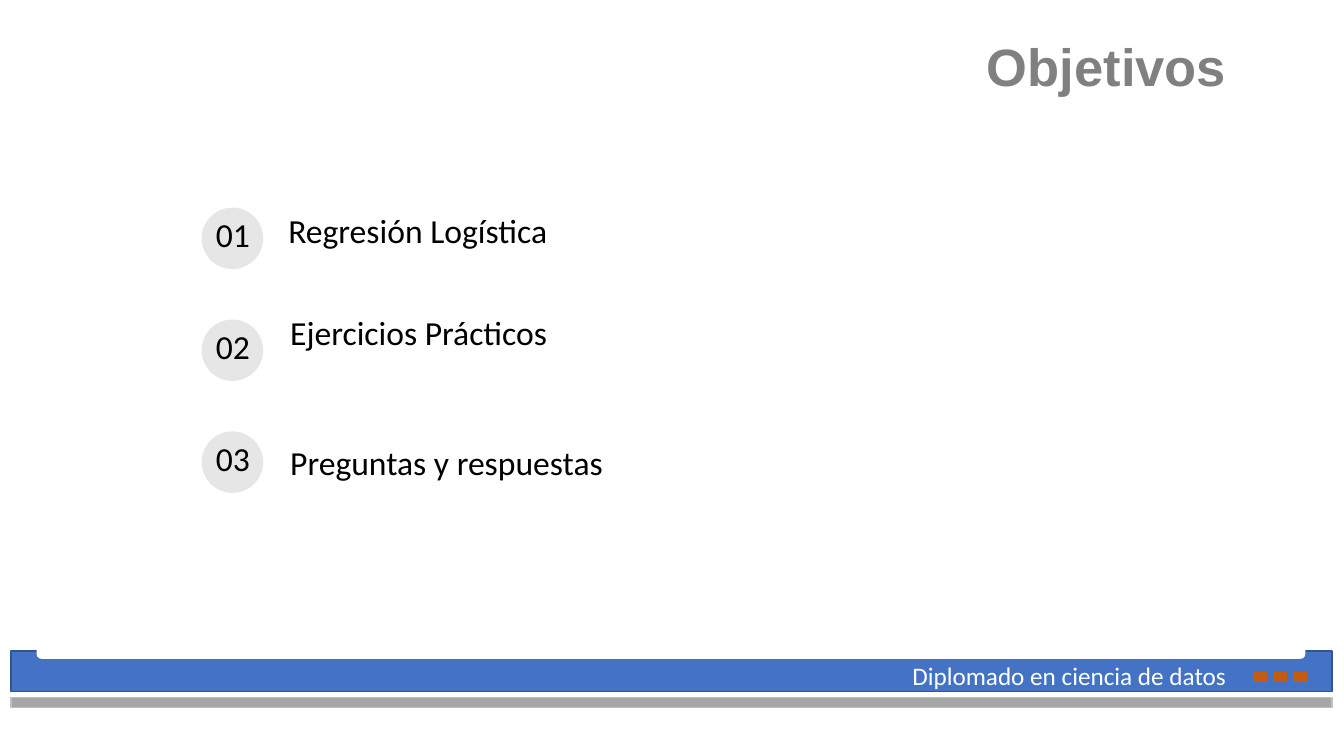
from dataclasses import dataclass

from pptx import Presentation
from pptx.dml.color import RGBColor
from pptx.enum.shapes import MSO_SHAPE
from pptx.enum.text import MSO_ANCHOR, MSO_AUTO_SIZE, PP_ALIGN
from pptx.util import Inches, Pt


@dataclass(frozen=True)
class Theme:
    """Colours, fonts and type sizes of the slide."""
    white: str = "FFFFFF"
    black: str = "000000"
    title_grey: str = "808080"
    circle_grey: str = "E7E6E6"
    blue: str = "4472C4"
    blue_line: str = "325491"
    strip: str = "A6A6A6"
    strip_line: str = "BFBFBF"
    orange: str = "C55A11"
    title_font: str = "Arial"
    body_font: str = "Calibri"
    title_size: float = 37.5
    body_size: float = 24
    footer_size: float = 18


THEME = Theme()


def place(shape, left, top, width, height):
    """Move a shape to a box given in inches."""
    shape.left, shape.top = Inches(left), Inches(top)
    shape.width, shape.height = Inches(width), Inches(height)


def add_block(shapes, kind, box, fill, line=None):
    """Add a filled shape, outlined when a line colour is given."""
    shape = shapes.add_shape(kind, *map(Inches, box))
    shape.shadow.inherit = False
    shape.fill.solid()
    shape.fill.fore_color.rgb = RGBColor.from_string(fill)
    if line:
        shape.line.color.rgb = RGBColor.from_string(line)
        shape.line.width = Pt(1)
    else:
        shape.line.fill.background()
    return shape


def write(shape, text, size, color, font=THEME.body_font, bold=False,
          align=PP_ALIGN.LEFT, spacing=0.9, after=0, inset_top=0.0,
          inset_bottom=0.1, anchor=MSO_ANCHOR.TOP):
    """Write one formatted paragraph into a shape."""
    frame = shape.text_frame
    frame.text = text
    frame.word_wrap = True
    frame.auto_size = MSO_AUTO_SIZE.NONE
    frame.vertical_anchor = anchor
    frame.margin_left = frame.margin_right = Inches(0.1)
    frame.margin_top, frame.margin_bottom = Inches(inset_top), Inches(inset_bottom)
    paragraph = frame.paragraphs[0]
    paragraph.alignment = align
    paragraph.line_spacing = spacing
    paragraph.space_before, paragraph.space_after = Pt(0), Pt(after)
    run_font = paragraph.runs[0].font
    run_font.name, run_font.size, run_font.bold = font, Pt(size), bold
    run_font.color.rgb = RGBColor.from_string(color)


def add_footer(slide, left, top, width):
    """Draw the blue footer band with its caption, squares and grey strip."""
    shapes = slide.shapes.add_group_shape().shapes
    rectangle = MSO_SHAPE.RECTANGLE
    add_block(shapes, rectangle, (left, top + 0.19, width, 0.4),
              THEME.blue, THEME.blue_line)
    add_block(shapes, MSO_SHAPE.ROUNDED_RECTANGLE,
              (left + 0.26, top, width - 0.53, 0.26), THEME.white, THEME.white)
    add_block(shapes, rectangle, (left, top + 0.65, width, 0.1),
              THEME.strip, THEME.strip_line)
    for index in range(3):
        square_left = left + width - 0.78 + 0.2 * index
        add_block(shapes, rectangle, (square_left, top + 0.4, 0.13, 0.09),
                  THEME.orange, THEME.orange)
    caption = shapes.add_textbox(
        *map(Inches, (left + width - 4.26, top + 0.23, 3.45, 0.4)))
    write(caption, "Diplomado en ciencia de datos", THEME.footer_size,
          THEME.white, spacing=1.0, inset_top=0.05, inset_bottom=0.05)


def add_title(slide, left, top, width, height):
    """Fill the title placeholder, aligned to the right."""
    title = slide.shapes.title
    place(title, left, top, width, height)
    write(title, "Objetivos ", THEME.title_size, THEME.title_grey,
          font=THEME.title_font, bold=True, align=PP_ALIGN.RIGHT, spacing=0.7,
          inset_top=0.05, inset_bottom=0.05, anchor=MSO_ANCHOR.BOTTOM)


def add_objectives(slide, left, top, pitch):
    """Place the numbered circles and the objective beside each one."""
    objectives = (
        ("Regresión Logística", 0.76, 0.07, 6.68, 0.45),
        ("Ejercicios Prácticos", 0.78, 1.08, 4.11, 0.79),
        ("Preguntas y respuestas", 0.78, 2.37, 3.58, 0.61),
    )
    for index, (text, dx, dy, width, height) in enumerate(objectives):
        row = top + pitch * index
        add_block(slide.shapes, MSO_SHAPE.OVAL, (left, row, 0.61, 0.61),
                  THEME.circle_grey)
        number = slide.shapes.add_textbox(
            *map(Inches, (left - 0.14, row - 0.09, 0.9, 0.61)))
        write(number, f"{index + 1:02}", THEME.body_size, THEME.black,
              align=PP_ALIGN.CENTER, inset_top=0.2)
        box = (left + dx, top + dy, width, height)
        if index == 0:
            label = slide.placeholders[1]
            place(label, *box)
        else:
            label = slide.shapes.add_textbox(*map(Inches, box))
        write(label, text, THEME.body_size, THEME.black, after=12)


def main():
    """Build the objectives slide and save it."""
    presentation = Presentation()
    presentation.slide_width = Inches(13.33)
    presentation.slide_height = Inches(7.5)
    slide = presentation.slides.add_slide(presentation.slide_layouts[0])
    add_footer(slide, 0.11, 6.27, 13.1)
    add_title(slide, 1.41, 0.4, 11, 0.6)
    add_objectives(slide, 2, 2.06, 1.11)
    presentation.save("out.pptx")


if __name__ == "__main__":
    main()
